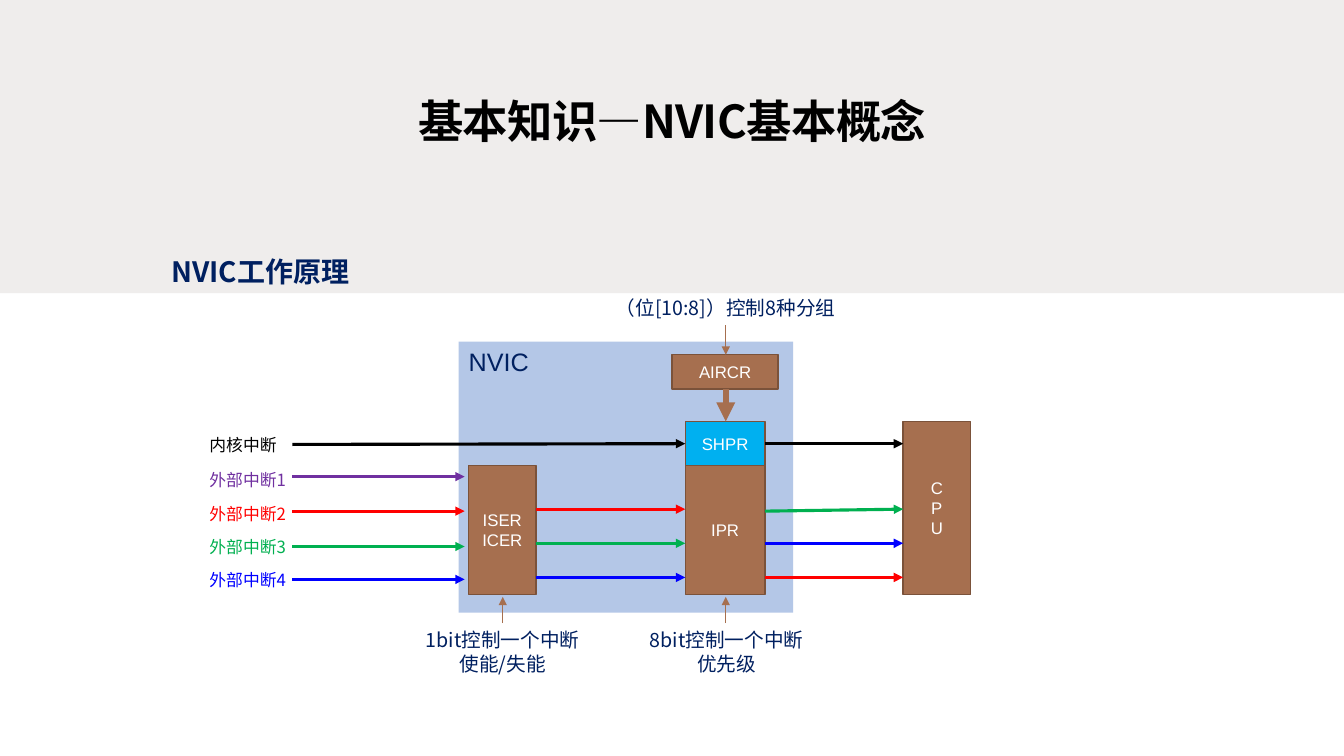
from lxml import etree
from pptx import Presentation
from pptx.dml.color import RGBColor
from pptx.enum.shapes import MSO_CONNECTOR, MSO_SHAPE
from pptx.enum.text import MSO_ANCHOR, MSO_AUTO_SIZE, PP_ALIGN
from pptx.oxml.ns import qn
from pptx.util import Cm, Pt

RECTANGLE, STRAIGHT = MSO_SHAPE.RECTANGLE, MSO_CONNECTOR.STRAIGHT
LEFT, CENTER = PP_ALIGN.LEFT, PP_ALIGN.CENTER
TOP, MIDDLE = MSO_ANCHOR.TOP, MSO_ANCHOR.MIDDLE
GROW = MSO_AUTO_SIZE.SHAPE_TO_FIT_TEXT

BLACK = RGBColor(0x00, 0x00, 0x00)
WHITE = RGBColor(0xFF, 0xFF, 0xFF)
NAVY = RGBColor(0x00, 0x20, 0x60)
BAND_GREY = RGBColor(0xEF, 0xED, 0xEC)
PALE_BLUE = RGBColor(0xB4, 0xC7, 0xE7)
BROWN = RGBColor(0xA6, 0x6F, 0x4F)
DARK_BROWN = RGBColor(0x7B, 0x52, 0x3A)
CYAN = RGBColor(0x00, 0xB0, 0xF0)
PURPLE = RGBColor(0x70, 0x30, 0xA0)
RED = RGBColor(0xFF, 0x00, 0x00)
GREEN = RGBColor(0x00, 0xB0, 0x50)
BLUE = RGBColor(0x00, 0x00, 0xFF)

LATIN_FONT, CHINESE_FONT = "Arial", "Noto Sans CJK SC"

# Content; all lengths are centimetres
TITLE = "基本知识—NVIC基本概念"
SUBTITLE = "NVIC工作原理"
BAND_BOX = (0, 0, 33.87, 7.39)
NVIC_BOX = (11.56, 8.61, 8.43, 6.83)

# Register blocks: text, box, fill
BLOCKS = [
    ("ISER\nICER", (11.81, 11.73, 1.7, 3.25), BROWN),
    ("IPR", (17.27, 11.73, 2.01, 3.25), BROWN),
    ("C\nP\nU", (22.76, 10.62, 1.7, 4.36), BROWN),
    ("AIRCR", (16.94, 8.94, 2.67, 0.86), BROWN),
    ("SHPR", (17.27, 10.62, 2.01, 1.11), CYAN),
]
CAPTIONS = [
    ("1bit控制一个中断\n使能/失能", (10.36, 15.7, 4.62, 1.45)),
    ("8bit控制一个中断优先级", (16, 15.7, 4.62, 1.45)),
    ("（位[10:8]）控制8种分组", (14.4, 7.34, 7.77, 0.86)),
]
# Interrupt sources: text, label top, colour
SOURCES = [
    ("内核中断", 10.82, BLACK),
    ("外部中断1", 11.71, PURPLE),
    ("外部中断2", 12.57, RED),
    ("外部中断3", 13.41, GREEN),
    ("外部中断4", 14.22, BLUE),
]
# Signals per stage: start x, end x, then start y, end y, colour
SIGNALS = [
    (7.37, 17.27, [(11.2, 11.18, BLACK)]),
    (7.37, 11.71, [(12.01, 12.01, PURPLE), (12.88, 12.88, RED),
                   (13.77, 13.77, GREEN), (14.6, 14.6, BLUE)]),
    (13.51, 17.27, [(12.83, 12.83, RED), (13.69, 13.69, GREEN),
                    (14.55, 14.55, BLUE)]),
    (19.28, 22.76, [(11.18, 11.18, BLACK), (12.88, 12.83, GREEN),
                    (13.69, 13.69, BLUE), (14.55, 14.55, RED)]),
]
# Control arrows: x, start y, end y, width in points
CONTROLS = [
    (18.29, 9.8, 10.62, 4.5),
    (18.29, 8.2, 8.94, 1),
    (18.29, 15.7, 15.04, 1),
    (12.67, 15.7, 15.04, 1),
]


def write(shape, text, size, color, name=CHINESE_FONT, align=LEFT,
          anchor=TOP, bold=False, spacing=None):
    frame = shape.text_frame
    frame.text = text
    frame.word_wrap = True
    frame.vertical_anchor = anchor
    font_format = {"size": Pt(size), "bold": bold, "name": name}
    for paragraph in frame.paragraphs:
        paragraph.alignment = align
        paragraph.line_spacing = spacing
        for run in paragraph.runs:
            for key, value in font_format.items():
                setattr(run.font, key, value)
            run.font.color.rgb = color
            properties = run.font._element
            latin = properties.find(qn("a:latin"))
            east_asian = etree.Element(qn("a:ea"), typeface=CHINESE_FONT)
            latin.addnext(east_asian)
    return frame


def add_box(slide, box, fill, outline=None):
    shape = slide.shapes.add_shape(RECTANGLE, *map(Cm, box))
    shape.shadow.inherit = False
    shape.fill.solid()
    shape.fill.fore_color.rgb = fill
    if outline is None:
        shape.line.fill.background()
    else:
        shape.line.color.rgb = outline
        shape.line.width = Pt(1)
    return shape


def add_text(slide, box, *args, **text_format):
    shape = slide.shapes.add_textbox(*map(Cm, box))
    frame = write(shape, *args, **text_format)
    frame.auto_size = GROW
    return frame


def add_arrow(slide, start_x, start_y, end_x, end_y, color, width=2.25):
    ends = map(Cm, (start_x, start_y, end_x, end_y))
    arrow = slide.shapes.add_connector(STRAIGHT, *ends)
    arrow.line.color.rgb = color
    arrow.line.width = Pt(width)
    etree.SubElement(arrow.line._get_or_add_ln(), qn("a:tailEnd"), type="triangle")
    etree.SubElement(arrow._element.spPr, qn("a:effectLst"))


def main():
    presentation = Presentation()
    presentation.slide_width, presentation.slide_height = Cm(33.87), Cm(19.05)
    slide = presentation.slides.add_slide(presentation.slide_layouts[5])

    # Header band behind the title
    band = add_box(slide, BAND_BOX, BAND_GREY)
    title = slide.shapes.title
    title._element.addprevious(band._element)
    title_place = {"left": 1.7, "top": 2.16, "width": 30.48, "height": 1.75}
    for key, value in title_place.items():
        setattr(title, key, Cm(value))
    title_frame = write(title, TITLE, 32.4, BLACK, align=CENTER,
                        anchor=MIDDLE, bold=True)
    title_frame.auto_size = MSO_AUTO_SIZE.NONE
    title_frame.paragraphs[0].runs[0].font._element.set("spc", "-50")

    # Subtitle
    subtitle_frame = add_text(slide, (4.19, 5.94, 9.63, 1.4), SUBTITLE, 20,
                              NAVY, bold=True, spacing=1.5)
    margins = {"margin_left": 0.13, "margin_right": 0.13,
               "margin_top": 0.05, "margin_bottom": 0.05}
    for key, value in margins.items():
        setattr(subtitle_frame, key, Cm(value))

    # NVIC area and register blocks
    write(add_box(slide, NVIC_BOX, PALE_BLUE), "NVIC", 18, NAVY, LATIN_FONT)
    for text, box, fill in BLOCKS:
        block = add_box(slide, box, fill, DARK_BROWN)
        write(block, text, 12, WHITE, LATIN_FONT, CENTER, MIDDLE)

    # Captions and interrupt names
    for text, box in CAPTIONS:
        add_text(slide, box, text, 14, NAVY, align=CENTER)
    for text, top, color in SOURCES:
        add_text(slide, (5.03, top, 2.77, 0.76), text, 12, color)

    # Signal and control arrows
    for start_x, end_x, signals in SIGNALS:
        for start_y, end_y, color in signals:
            add_arrow(slide, start_x, start_y, end_x, end_y, color)
    for x, start_y, end_y, width in CONTROLS:
        add_arrow(slide, x, start_y, x, end_y, BROWN, width)

    presentation.save("out.pptx")


if __name__ == "__main__":
    main()
